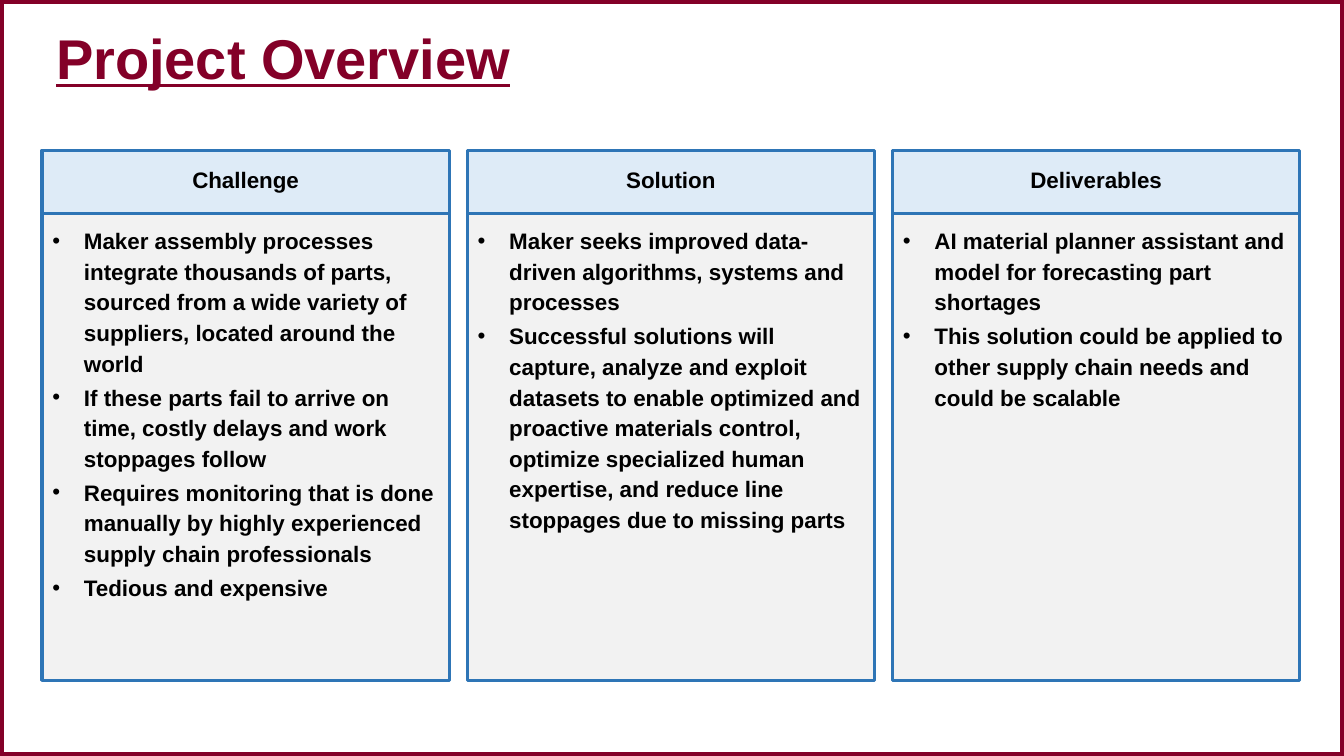
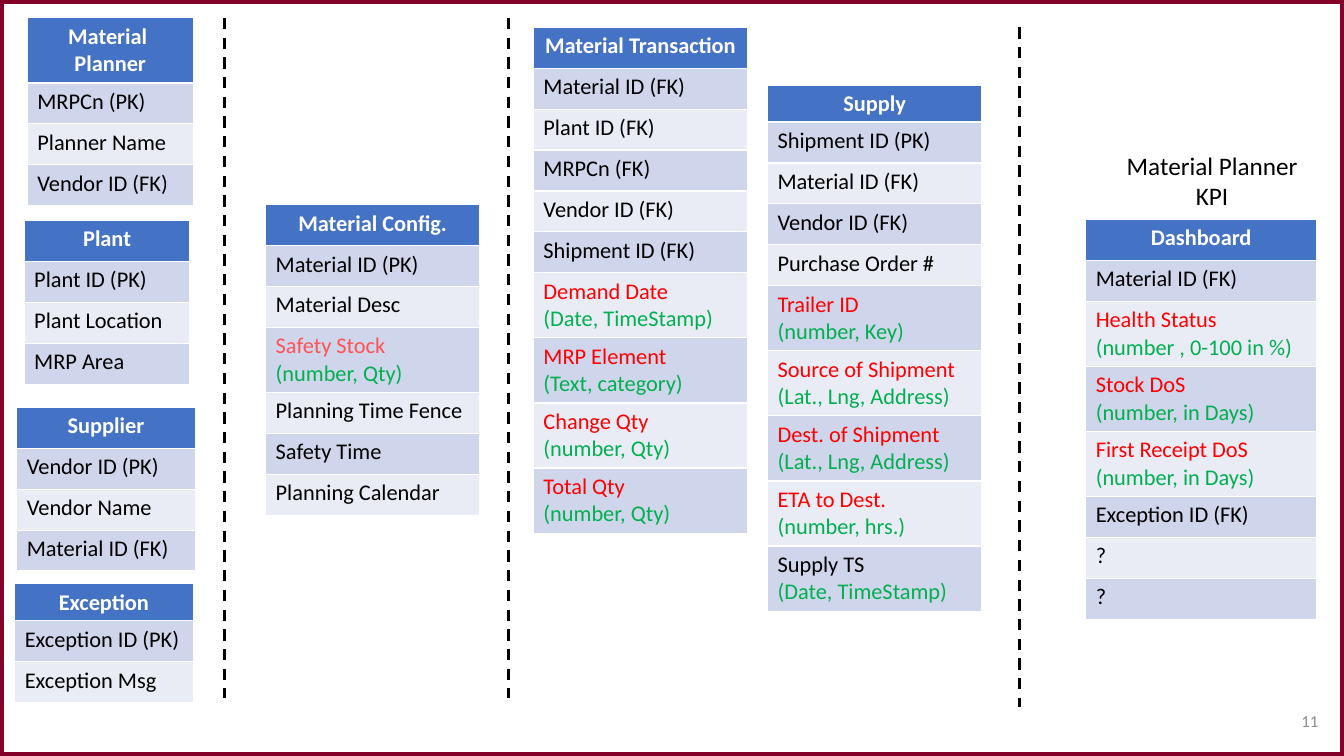
"""Build a project overview slide and a data model slide."""
import dataclasses

import lxml.etree
import pptx
import pptx.dml.color
import pptx.enum.dml
import pptx.enum.shapes
import pptx.enum.text
import pptx.oxml.ns
import pptx.util

ALIGN = pptx.enum.text.PP_ALIGN
ANCHOR = pptx.enum.text.MSO_ANCHOR
EMU_PER_PX = 9525
SLIDE_BOX = (0, 0, 1280, 720)


@dataclasses.dataclass(frozen=True)
class Theme:
    """Colours, fonts and type sizes of the presentation."""
    maroon: str = "830028"
    black: str = "000000"
    white: str = "FFFFFF"
    card_head: str = "DEEBF7"
    card_body: str = "F2F2F2"
    card_line: str = "2E75B6"
    table_head: str = "4472C4"
    bands: tuple = ("CFD5EA", "E9EBF5")
    new_field: str = "FF0000"
    soft_field: str = "FF5353"
    data_type: str = "00B050"
    muted: str = "8C8C8C"
    heading_font: str = "Arial"
    table_font: str = "Calibri"
    title_size: int = 40
    body_size: int = 16
    label_size: int = 18
    number_size: int = 12


THEME = Theme()

CARDS = [
    ("Challenge", [
        "Maker assembly processes integrate thousands of parts, sourced from a wide "
        "variety of suppliers, located around the world",
        "If these parts fail to arrive on time, costly delays and work stoppages follow",
        "Requires monitoring that is done manually by highly experienced supply chain professionals",
        "Tedious and expensive",
    ]),
    ("Solution", [
        "Maker seeks improved data-driven algorithms, systems and processes",
        "Successful solutions will capture, analyze and exploit datasets to enable optimized "
        "and proactive materials control, optimize specialized human expertise, and reduce "
        "line stoppages due to missing parts",
    ]),
    ("Deliverables", [
        "AI material planner assistant and model for forecasting part shortages",
        "This solution could be applied to other supply chain needs and could be scalable",
    ]),
]

ROW, SHORT_ROW, DOUBLE_ROW = 39, 35, 62

ENTITIES = [
    ((26, 17, 158), ["Material ", "Planner"], DOUBLE_ROW,
     ["MRPCn (PK)", "Planner Name", "Vendor ID (FK)"]),
    ((23, 210, 158), ["Plant"], ROW,
     ["Plant ID (PK)", "Plant Location", "MRP Area"]),
    ((16, 388, 170), ["Supplier"], ROW,
     ["Vendor ID (PK)", "Vendor Name", "Material ID (FK)"]),
    ((14, 556, 170), ["Exception"], SHORT_ROW,
     ["Exception ID (PK)", "Exception Msg"]),
    ((253, 195, 204), ["Material Config."], ROW,
     ["Material ID (PK)", "Material Desc",
      ("Safety Stock", "(number, Qty)", THEME.soft_field),
      "Planning Time Fence", "Safety Time", "Planning Calendar"]),
    ((508, 26, 204), ["Material Transaction"], ROW,
     ["Material ID (FK)", "Plant ID (FK)", "MRPCn (FK)", "Vendor ID (FK)", "Shipment ID (FK)",
      ("Demand Date", "(Date, TimeStamp)", THEME.new_field),
      ("MRP Element", "(Text, category)", THEME.new_field),
      ("Change Qty", "(number, Qty)", THEME.new_field),
      ("Total Qty", "(number, Qty)", THEME.new_field)]),
    ((731, 81, 204), ["Supply"], SHORT_ROW,
     ["Shipment ID (PK)", "Material ID (FK)", "Vendor ID (FK)", "Purchase Order #",
      ("Trailer ID", "(number, Key)", THEME.new_field),
      ("Source of Shipment", "(Lat., Lng, Address)", THEME.new_field),
      ("Dest. of Shipment", "(Lat., Lng, Address)", THEME.new_field),
      ("ETA to Dest.", "(number, hrs.)", THEME.new_field),
      ("Supply TS", "(Date, TimeStamp)", THEME.black)]),
    ((1034, 209, 220), ["Dashboard"], ROW,
     ["Material ID (FK)",
      ("Health Status", "(number , 0-100 in %)", THEME.new_field),
      ("Stock DoS", "(number, in Days)", THEME.new_field),
      ("First Receipt DoS", "(number, in Days)", THEME.new_field),
      "Exception ID (FK)", "?", "?"]),
]

DIVIDERS = [(214, 17, 665), (484, 17, 665), (971, 26, 673)]


def px(*lengths):
    """Turn px lengths into a list of EMU."""
    return [pptx.util.Emu(length * EMU_PER_PX) for length in lengths]


def rgb(value):
    """Return the colour object for a hex value."""
    return pptx.dml.color.RGBColor.from_string(value)


def write_lines(frame, lines, font, size, align=ALIGN.LEFT, bold=False, underline=False, spacing=None):
    """Write (text, colour) lines as paragraphs and return them."""
    for index, (text, color) in enumerate(lines):
        paragraph = frame.add_paragraph() if index else frame.paragraphs[0]
        paragraph.alignment = align
        if spacing:
            paragraph.line_spacing = spacing
        run = paragraph.add_run()
        run.text = text
        run.font.name = font
        run.font.size = pptx.util.Pt(size)
        run.font.bold = bold
        run.font.underline = underline
        run.font.color.rgb = rgb(color)
    return frame.paragraphs


def set_insets(frame, *insets):
    """Set the left, top, right and bottom insets of a text frame."""
    frame.margin_left, frame.margin_top, frame.margin_right, frame.margin_bottom = px(*insets)


def add_bullet(paragraph, indent):
    """Give a paragraph a hanging round bullet."""
    properties = paragraph._p.get_or_add_pPr()
    properties.set("marL", str(px(indent)[0]))
    properties.set("indent", str(px(-indent)[0]))
    for tag, name, value in (("a:buFont", "typeface", THEME.heading_font), ("a:buChar", "char", "•")):
        lxml.etree.SubElement(properties, pptx.oxml.ns.qn(tag)).set(name, value)


def add_panel(slide, box, fill, line, width):
    """Add an outlined rectangle, filled when a fill is given."""
    shape = slide.shapes.add_shape(pptx.enum.shapes.MSO_SHAPE.RECTANGLE, *px(*box))
    shape.shadow.inherit = False
    if fill:
        shape.fill.solid()
        shape.fill.fore_color.rgb = rgb(fill)
    else:
        shape.fill.background()
    shape.line.color.rgb = rgb(line)
    shape.line.width = pptx.util.Pt(width)
    return shape


def add_text(slide, box, lines, font, size, anchor=ANCHOR.TOP, wrap=True, **style):
    """Add a text box with the given lines."""
    frame = slide.shapes.add_textbox(*px(*box)).text_frame
    frame.word_wrap = wrap
    frame.vertical_anchor = anchor
    write_lines(frame, lines, font, size, **style)


def add_card(slide, box, heading, bullets):
    """Add a card with a heading band above a bulleted body."""
    left, top, width, height = box
    head_height = 60
    head = add_panel(slide, (left, top, width, head_height), THEME.card_head, THEME.card_line, 2.25)
    frame = head.text_frame
    frame.word_wrap = True
    frame.vertical_anchor = ANCHOR.MIDDLE
    set_insets(frame, 13, 8, 13, 8)
    write_lines(frame, [(heading, THEME.black)], THEME.heading_font, THEME.body_size,
                ALIGN.CENTER, bold=True, spacing=0.9)

    body = add_panel(slide, (left, top + head_height, width, height - head_height),
                     THEME.card_body, THEME.card_line, 2.25)
    frame = body.text_frame
    frame.word_wrap = True
    frame.vertical_anchor = ANCHOR.TOP
    set_insets(frame, 10, 10, 13, 15)
    lines = [(bullet, THEME.black) for bullet in bullets]
    for paragraph in write_lines(frame, lines, THEME.heading_font, THEME.body_size,
                                 bold=True, spacing=1.14):
        paragraph.space_after = pptx.util.Pt(2.4)
        add_bullet(paragraph, 30)


def fill_cell(cell, fill, lines, **style):
    """Fill and write one table cell."""
    cell.fill.solid()
    cell.fill.fore_color.rgb = rgb(fill)
    write_lines(cell.text_frame, lines, THEME.table_font, THEME.body_size, **style)


def add_entity(slide, place, heading, head_height, fields):
    """Add a one-column entity table with banded fields."""
    left, top, width = place
    heights = [head_height] + [ROW if isinstance(field, str) else DOUBLE_ROW for field in fields]
    box = (left, top, width, sum(heights))
    table = slide.shapes.add_table(len(heights), 1, *px(*box)).table
    for row, height in zip(table.rows, px(*heights)):
        row.height = height
    fill_cell(table.cell(0, 0), THEME.table_head, [(line, THEME.white) for line in heading],
              align=ALIGN.CENTER, bold=True)
    for index, field in enumerate(fields):
        if isinstance(field, str):
            lines = [(field, THEME.black)]
        else:
            name, data_type, color = field
            lines = [(name, color), (data_type, THEME.data_type)]
        fill_cell(table.cell(index + 1, 0), THEME.bands[index % 2], lines)


def add_divider(slide, left, top, bottom):
    """Add a dashed vertical line."""
    connector = slide.shapes.add_connector(
        pptx.enum.shapes.MSO_CONNECTOR.STRAIGHT, *px(left, top, left, bottom))
    connector.line.color.rgb = rgb(THEME.black)
    connector.line.width = pptx.util.Pt(2)
    connector.line.dash_style = pptx.enum.dml.MSO_LINE.DASH
    lxml.etree.SubElement(connector._element.spPr, pptx.oxml.ns.qn("a:effectLst"))


def add_framed_slide(presentation):
    """Add a blank slide with the maroon frame."""
    slide = presentation.slides.add_slide(presentation.slide_layouts[6])
    add_panel(slide, SLIDE_BOX, None, THEME.maroon, 6)
    return slide


def add_overview_slide(presentation):
    """Add the slide with a title and a row of cards."""
    slide = add_framed_slide(presentation)
    add_text(slide, (44, 14, 1193, 89), [("Project Overview", THEME.maroon)], THEME.heading_font,
             THEME.title_size, ANCHOR.MIDDLE, bold=True, underline=True, spacing=0.9)
    left, top, width, height, gap = 40, 143, 388, 505, 17
    for index, (heading, bullets) in enumerate(CARDS):
        add_card(slide, (left + index * (width + gap), top, width, height), heading, bullets)


def add_data_model_slide(presentation):
    """Add the slide with the entity tables and dividers."""
    slide = add_framed_slide(presentation)
    for entity in ENTITIES:
        add_entity(slide, *entity)
    for divider in DIVIDERS:
        add_divider(slide, *divider)
    add_text(slide, (1063, 138, 183, 68), [("Material Planner", THEME.black), ("KPI", THEME.black)],
             THEME.table_font, THEME.label_size, wrap=False, align=ALIGN.CENTER)
    add_text(slide, (874, 667, 391, 38), [("11", THEME.muted)], THEME.table_font,
             THEME.number_size, ANCHOR.MIDDLE, align=ALIGN.RIGHT)


def main():
    """Build and save the presentation."""
    presentation = pptx.Presentation()
    presentation.slide_width, presentation.slide_height = px(*SLIDE_BOX[2:])
    add_overview_slide(presentation)
    add_data_model_slide(presentation)
    presentation.save("out.pptx")


if __name__ == "__main__":
    main()
